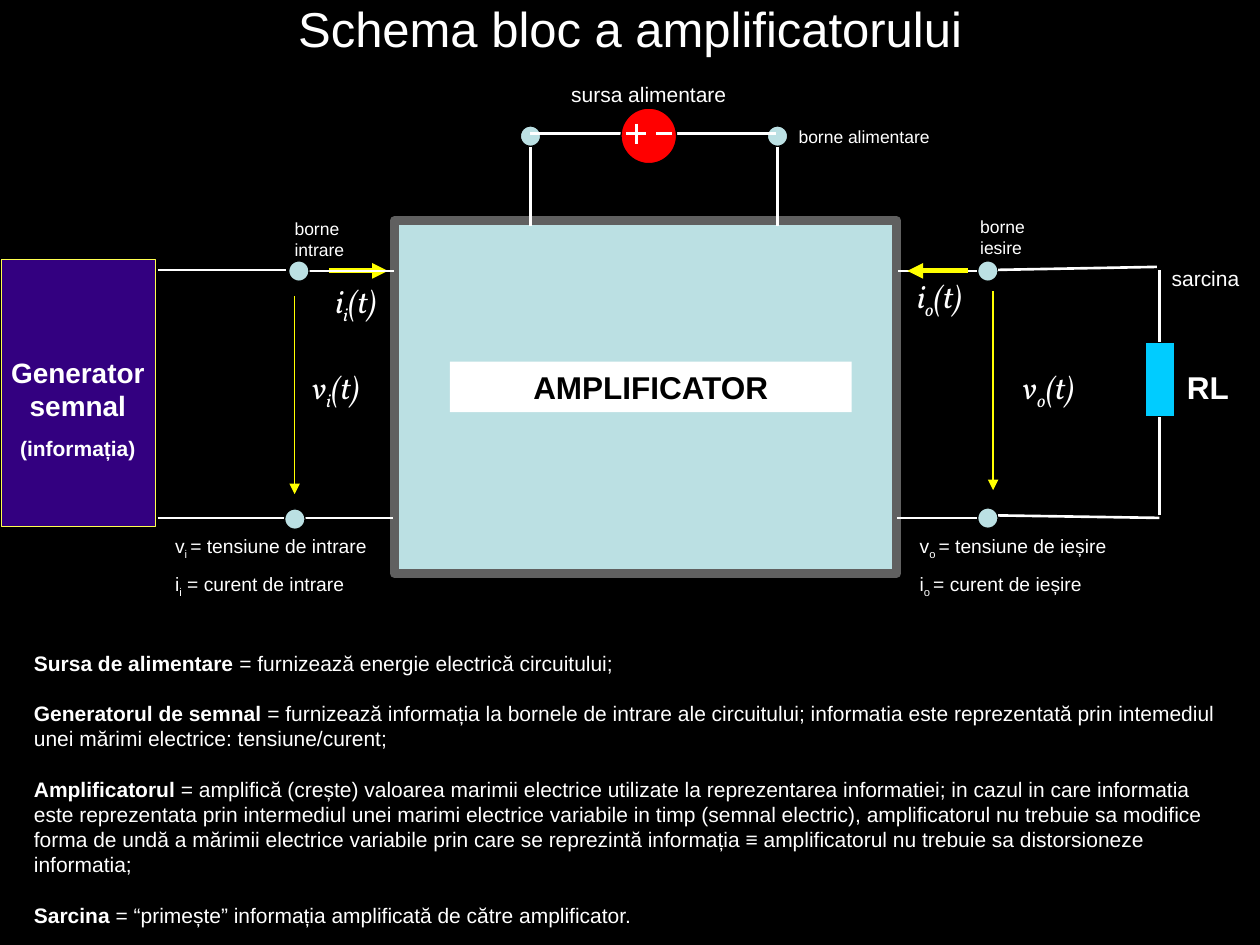
import pptx
import pptx.dml.color
import pptx.enum.shapes
import pptx.enum.text
import pptx.oxml.ns
import pptx.util
from lxml import etree

Cm, Pt = pptx.util.Cm, pptx.util.Pt
RGBColor = pptx.dml.color.RGBColor
SHAPE = pptx.enum.shapes.MSO_SHAPE
CONNECTOR = pptx.enum.shapes.MSO_CONNECTOR
ALIGN = pptx.enum.text.PP_ALIGN
ANCHOR = pptx.enum.text.MSO_ANCHOR
AUTO_SIZE = pptx.enum.text.MSO_AUTO_SIZE
qn = pptx.oxml.ns.qn

BLACK = RGBColor(0x00, 0x00, 0x00)
WHITE = RGBColor(0xFF, 0xFF, 0xFF)
YELLOW = RGBColor(0xFF, 0xFF, 0x00)
PALE_YELLOW = RGBColor(0xFF, 0xFF, 0x4F)
VIOLET = RGBColor(0x66, 0x00, 0xFF)
PALE_BLUE = RGBColor(0xBB, 0xE0, 0xE3)
SKY_BLUE = RGBColor(0x00, 0xCC, 0xFF)
GRAY = RGBColor(0x60, 0x60, 0x60)
RED = RGBColor(0xFF, 0x00, 0x00)

deck = pptx.Presentation()
deck.slide_width, deck.slide_height = Cm(25.4), Cm(19.05)
page = deck.slides.add_slide(deck.slide_layouts[1])
page.background.fill.solid()
page.background.fill.fore_color.rgb = BLACK


def write(para, text, size, align=ALIGN.LEFT, color=WHITE, bold=False, face="Arial", subscript=False):
    """Fill a paragraph; pieces between bars become subscript or else bold."""
    para.alignment = align
    if not subscript:
        para.line_spacing = Pt(1.2 * size)
    font = para.font
    font.name, font.size, font.italic = face, Pt(size), face == "Vollkorn"
    font.color.rgb = color
    if bold:
        font.bold = True
    for index, piece in enumerate(text.split("|")):
        if not piece:
            continue
        span = para.add_run()
        span.text = piece
        if index % 2 and subscript:
            span._r.get_or_add_rPr().set("baseline", "-25000")
        elif index % 2:
            span.font.bold = True


def connect(x1, y1, x2, y2, color=WHITE, width=1.5, arrow=False):
    line = page.shapes.add_connector(CONNECTOR.STRAIGHT, Cm(x1), Cm(y1), Cm(x2), Cm(y2))
    line.line.color.rgb = color
    line.line.width = Pt(width)
    if arrow:
        etree.SubElement(line.line._get_or_add_ln(), qn("a:tailEnd"), type="triangle")
    etree.SubElement(line._element.spPr, qn("a:effectLst"))


# Title and definitions
title, body = page.shapes.title, page.placeholders[1]
title.left, title.top, title.width, title.height = Cm(1.27), Cm(-1.02), Cm(22.86), Cm(3.18)
body.left, body.top, body.width, body.height = Cm(0.43), Cm(12.98), Cm(24.54), Cm(5.84)
for holder, anchor in ((title, ANCHOR.MIDDLE), (body, ANCHOR.TOP)):
    holder.text_frame.auto_size = AUTO_SIZE.NONE
    holder.text_frame.vertical_anchor = anchor
write(title.text_frame.paragraphs[0], "Schema bloc a amplificatorului", 28, ALIGN.CENTER)

definitions = [
    "|Sursa de alimentare |= furnizează energie electrică circuitului;",
    "|Generatorul de semnal |= furnizează informația la bornele de intrare ale circuitului; "
    "informatia este reprezentată prin intemediul unei mărimi electrice: tensiune/curent;",
    "|Amplificatorul |= amplifică (crește) valoarea marimii electrice utilizate la "
    "reprezentarea informatiei; in cazul in care informatia este reprezentata prin "
    "intermediul unei marimi electrice variabile in timp (semnal electric), amplificatorul "
    "nu trebuie sa modifice forma de undă a mărimii electrice variabile prin care se "
    "reprezintă informația ≡ amplificatorul nu trebuie sa distorsioneze informatia;",
    "|Sarcina |= “primește” informația amplificată de către amplificator.",
]
for number, definition in enumerate(definitions):
    frame = body.text_frame
    para = frame.add_paragraph() if number else frame.paragraphs[0]
    properties = para._p.get_or_add_pPr()
    properties.set("marL", "0")
    properties.set("indent", "0")
    para.space_before = Pt(14.4 if number else 0)
    etree.SubElement(properties, qn("a:buNone"))
    write(para, definition, 12)

# Wires and blocks, from back to front
WIRE, ARROW, SHAPES = "wire", "arrow", "shape"
DOT = 0.41
drawing = [
    (SHAPES, SHAPE.RECTANGLE, 0.03, 5.23, 3.1, 5.38, VIOLET, PALE_YELLOW, 0.75),
    (WIRE, 3.18, 10.44, 6.63, 10.44),
    (WIRE, 3.18, 5.44, 5.77, 5.44),
    (ARROW, 5.94, 5.97, 5.94, 9.96, 0.75),
    (ARROW, 6.63, 5.46, 7.82, 5.46, 3),
    (ARROW, 20.02, 5.87, 20.02, 9.88, 0.75),
    (SHAPES, SHAPE.RECTANGLE, 7.95, 4.45, 10.13, 7.11, PALE_BLUE, GRAY, 5),
    (WIRE, 6.15, 5.46, 7.95, 5.46),
    (WIRE, 6.12, 10.44, 7.92, 10.44),
    (WIRE, 18.11, 5.46, 19.91, 5.46),
    (WIRE, 18.08, 10.44, 19.91, 10.44),
    (WIRE, 10.69, 4.55, 10.69, 2.72),
    (WIRE, 15.67, 4.55, 15.67, 2.74),
]
terminals = [(19.71, 10.24), (19.71, 5.26), (5.74, 10.26), (5.82, 5.26), (15.47, 2.54), (10.49, 2.54)]
drawing += [(SHAPES, SHAPE.OVAL, x, y, DOT, DOT, PALE_BLUE, BLACK, 0.75) for x, y in terminals]
drawing += [
    (ARROW, 19.51, 5.46, 18.29, 5.46, 3),
    (WIRE, 20.12, 10.39, 23.37, 10.44),
    (WIRE, 20.12, 5.44, 23.32, 5.38),
    (WIRE, 23.37, 10.39, 23.37, 5.44),
    (SHAPES, SHAPE.RECTANGLE, 23.08, 6.9, 0.61, 1.5, SKY_BLUE, BLACK, 0.75),
    (WIRE, 10.69, 2.69, 15.65, 2.69),
    (SHAPES, SHAPE.OVAL, 12.52, 2.18, 1.12, 1.12, RED, BLACK, 0.75),
    (WIRE, 13.23, 2.69, 13.54, 2.69),
    (WIRE, 12.62, 2.69, 13.03, 2.69),
    (WIRE, 12.83, 2.49, 12.83, 2.9),
    (SHAPES, SHAPE.RECTANGLE, 9.07, 7.29, 8.1, 1.02, WHITE, None, 0),
]
for kind, *details in drawing:
    if kind == WIRE:
        connect(*details)
        continue
    if kind == ARROW:
        *ends, width = details
        connect(*ends, YELLOW, width, arrow=True)
        continue
    preset, left, top, width, height, fill, outline, weight = details
    block = page.shapes.add_shape(preset, Cm(left), Cm(top), Cm(width), Cm(height))
    block.shadow.inherit = False
    block.fill.solid()
    block.fill.fore_color.rgb = fill
    if fill == VIOLET:
        tint = block.fill._xPr.find(qn("a:solidFill"))[0]
        etree.SubElement(tint, qn("a:alpha"), val="50000")
    if outline is None:
        block.line.fill.background()
        write(block.text_frame.paragraphs[0], "AMPLIFICATOR", 18, ALIGN.CENTER, BLACK, bold=True)
    else:
        block.line.color.rgb = outline
        block.line.width = Pt(weight)

# Labels: place, space between paragraphs, shared style, then (text, size) lines
plain = {}
centered = {"align": ALIGN.CENTER}
strong = {"align": ALIGN.CENTER, "bold": True}
symbol = {"align": ALIGN.CENTER, "face": "Vollkorn", "subscript": True}
legend = {"subscript": True}
labels = [
    (-0.08, 7.04, 3.3, 2.39, 7.5, strong, [("Generator semnal", 16), ("(informația)", 12)]),
    (5.69, 4.27, 2.03, 1.12, 0, plain, [("borne intrare", 10)]),
    (19.51, 4.24, 1.91, 1.12, 0, plain, [("borne iesire", 10)]),
    (15.85, 2.41, 3.86, 0.69, 0, plain, [("borne alimentare", 10)]),
    (23.37, 5.23, 2.13, 0.76, 0, plain, [("sarcina", 12)]),
    (11.1, 1.52, 3.96, 0.76, 0, centered, [("sursa alimentare", 12)]),
    (23.6, 7.29, 1.5, 1.02, 0, strong, [("RL", 18)]),
    (6.43, 5.56, 1.5, 1.12, 0, symbol, [("i|i|(t)", 18)]),
    (5.92, 7.29, 1.7, 1.12, 0, symbol, [("v|i|(t)", 18)]),
    (18.08, 5.46, 1.73, 1.12, 0, symbol, [("i|o|(t)", 18)]),
    (20.12, 7.29, 2.03, 1.12, 0, symbol, [("v|o|(t)", 18)]),
    (3.28, 10.64, 4.88, 1.57, 6.9, legend,
     [("v|i |= tensiune de intrare", 11), ("i|i| = curent de intrare", 11)]),
    (18.29, 10.64, 4.88, 1.57, 6.9, legend,
     [("v|o |= tensiune de ieșire", 11), ("i|o |= curent de ieșire", 11)]),
]
for left, top, width, height, gap, style, lines in labels:
    box = page.shapes.add_textbox(Cm(left), Cm(top), Cm(width), Cm(height))
    frame = box.text_frame
    frame.word_wrap = True
    for number, (text, size) in enumerate(lines):
        para = frame.add_paragraph() if number else frame.paragraphs[0]
        if number:
            para.space_before = Pt(gap)
        write(para, text, size, **style)

deck.save("out.pptx")
